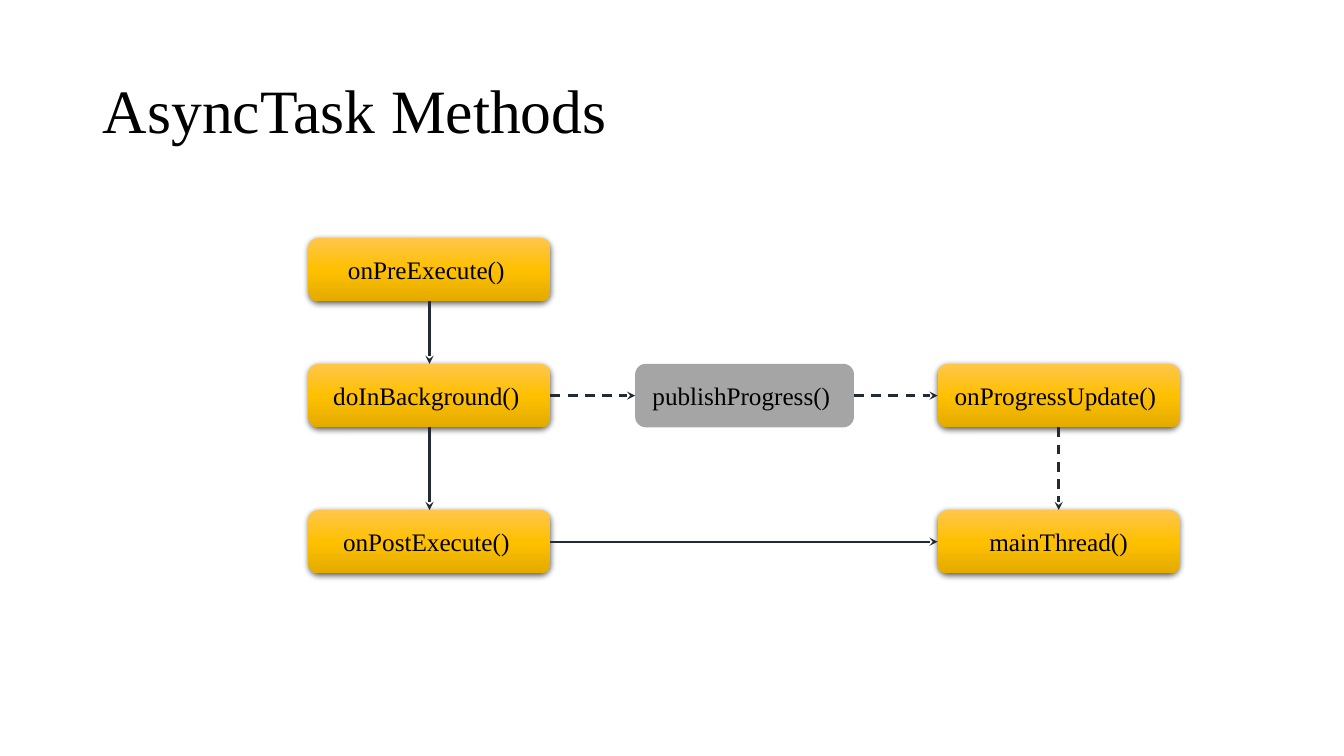
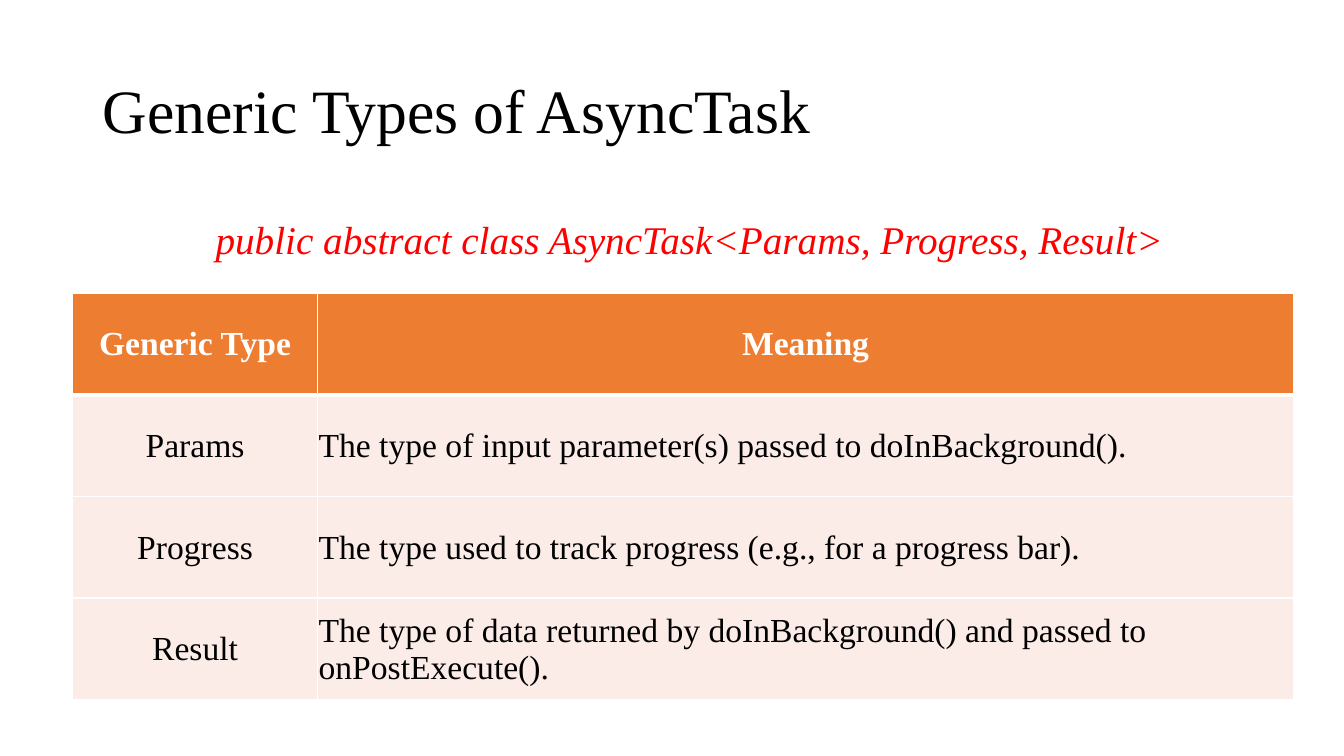
import copy

import pptx
import pptx.dml.color
import pptx.enum.dml
import pptx.enum.shapes
import pptx.enum.text
import pptx.oxml
import pptx.oxml.ns
import pptx.util

Inches = pptx.util.Inches
Pt = pptx.util.Pt
RGBColor = pptx.dml.color.RGBColor
PP_ALIGN = pptx.enum.text.PP_ALIGN
MIDDLE = pptx.enum.text.MSO_ANCHOR.MIDDLE

FONT = "Times New Roman"
BLACK = RGBColor(0x00, 0x00, 0x00)
WHITE = RGBColor(0xFF, 0xFF, 0xFF)
RED = RGBColor(0xFF, 0x00, 0x00)
GRAY = RGBColor(0xA5, 0xA5, 0xA5)
NAVY = RGBColor(0x22, 0x2A, 0x35)
ORANGE = RGBColor(0xED, 0x7D, 0x31)
PINK = RGBColor(0xFC, 0xEC, 0xE8)
GOLD = (
    RGBColor(0xFF, 0xC6, 0x4B),
    RGBColor(0xFF, 0xC0, 0x00),
    RGBColor(0xE3, 0xAB, 0x00),
)

LEFT, MID, RIGHT = 3.06, 6.3, 9.3
TOP, CENTER, LOW = 2.36, 3.61, 5.06
WIDE, SLIM, TALL = 2.4, 2.17, 0.63

# Connection sites of a rounded rectangle
NORTH, WEST, SOUTH, EAST = range(4)

BOXES = {
    "pre": ("onPreExecute() ", LEFT, TOP),
    "work": ("doInBackground() ", LEFT, CENTER),
    "post": ("onPostExecute() ", LEFT, LOW),
    "update": ("onProgressUpdate() ", RIGHT, CENTER),
    "main": ("mainThread()", RIGHT, LOW),
}

# Start box, its site, end box, its site, dashed
ARROWS = [
    ("pre", SOUTH, "work", NORTH, False),
    ("work", SOUTH, "post", NORTH, False),
    ("work", EAST, "publish", WEST, True),
    ("publish", EAST, "update", WEST, True),
    ("update", SOUTH, "main", NORTH, True),
    ("post", EAST, "main", WEST, False),
]

ROWS = [
    ("Generic Type", "Meaning"),
    ("Params", "The type of input parameter(s) passed to doInBackground()."),
    ("Progress", "The type used to track progress (e.g., for a progress bar)."),
    ("Result", "The type of data returned by doInBackground() and passed to "
               "onPostExecute()."),
]


def make_xml(tag, body="", attrs=""):
    space = pptx.oxml.ns.nsdecls("a")
    return pptx.oxml.parse_xml(f"<a:{tag} {space} {attrs}>{body}</a:{tag}>")


def set_text(frame, text, size, color, align=PP_ALIGN.LEFT, bold=False,
             italic=False):
    frame.text = text
    para = frame.paragraphs[0]
    para.alignment = align
    font = para.runs[0].font
    font.name, font.size, font.color.rgb = FONT, Pt(size), color
    font.bold, font.italic = bold, italic


def add_slide(deck, title):
    """Add a title-only slide with the shared title style."""
    slide = deck.slides.add_slide(deck.slide_layouts[5])
    head = slide.shapes.title
    head.left, head.top = Inches(0.92), Inches(0.4)
    head.width, head.height = Inches(11.5), Inches(1.45)
    frame = head.text_frame
    set_text(frame, title, 44, BLACK)
    frame.auto_size = pptx.enum.text.MSO_AUTO_SIZE.NONE
    frame.vertical_anchor = MIDDLE
    frame.paragraphs[0].line_spacing = 0.9
    return slide


def add_box(slide, text, left, top, width=WIDE):
    box = slide.shapes.add_shape(
        pptx.enum.shapes.MSO_SHAPE.ROUNDED_RECTANGLE,
        Inches(left), Inches(top), Inches(width), Inches(TALL))
    box.shadow.inherit = False
    box.line.fill.background()
    box.text_frame.vertical_anchor = MIDDLE
    set_text(box.text_frame, text, 18, BLACK, PP_ALIGN.CENTER)
    return box


def fill_gold(box):
    """Give the box a three-stop gold gradient and a soft shadow."""
    fill = box.fill
    fill.gradient()
    fill.gradient_angle = 270
    props = box.element.spPr
    stops = props.find(".//" + pptx.oxml.ns.qn("a:gsLst"))
    stops.insert(1, copy.deepcopy(stops[0]))
    for stop, place, color in zip(fill.gradient_stops, (0, 0.5, 1), GOLD):
        stop.position = place
        stop.color.rgb = color
    shade = make_xml(
        "outerShdw",
        f'<a:srgbClr val="{BLACK}"><a:alpha val="63000"/></a:srgbClr>',
        f'blurRad="{Pt(4.5)}" dist="{Pt(1.5)}" dir="5400000" '
        'algn="ctr" rotWithShape="0"')
    props.find(pptx.oxml.ns.qn("a:effectLst")).append(shade)


def add_arrow(slide, start, exit_site, end, entry, dashed):
    link = slide.shapes.add_connector(
        pptx.enum.shapes.MSO_CONNECTOR.STRAIGHT, 0, 0, 0, 0)
    link.begin_connect(start, exit_site)
    link.end_connect(end, entry)
    line = link.line
    line.color.rgb, line.width = NAVY, Pt(1.75)
    if dashed:
        line.dash_style = pptx.enum.dml.MSO_LINE.DASH
    props = link.element.spPr
    props.find(pptx.oxml.ns.qn("a:ln")).append(
        make_xml("tailEnd", attrs='type="stealth"'))
    props.append(make_xml("effectLst"))


def style_cell(cell, row):
    """Set margins, white borders and fill; the header rule is thicker."""
    cell.vertical_anchor = MIDDLE
    cell.margin_left = cell.margin_right = cell.margin_top = Inches(0.01)
    cell.margin_bottom = 0
    widths = {"L": 1, "R": 1, "T": 3 if row == 1 else 1,
              "B": 3 if row == 0 else 1}
    props = cell._tc.get_or_add_tcPr()
    for side, width in widths.items():
        props.append(make_xml(
            "ln" + side,
            f'<a:solidFill><a:srgbClr val="{WHITE}"/></a:solidFill>',
            f'w="{Pt(width)}"'))
    cell.fill.solid()
    cell.fill.fore_color.rgb = PINK if row else ORANGE


def add_grid(slide):
    table = slide.shapes.add_table(
        len(ROWS), 2, Inches(0.72), Inches(2.91),
        Inches(12.11), Inches(4.03)).table
    for column, width in zip(table.columns, (2.43, 9.68)):
        column.width = Inches(width)
    for row, texts in enumerate(ROWS):
        for col, text in enumerate(texts):
            cell = table.cell(row, col)
            style_cell(cell, row)
            head = row == 0
            align = PP_ALIGN.CENTER if head or col == 0 else PP_ALIGN.LEFT
            set_text(cell.text_frame, text, 24, WHITE if head else BLACK,
                     align, bold=head)


def add_code(slide, text):
    box = slide.shapes.add_textbox(
        Inches(2.04), Inches(2.09), Inches(10.23), Inches(0.57))
    box.text_frame.word_wrap = True
    set_text(box.text_frame, text, 28, RED, italic=True)


def build_flow(deck):
    slide = add_slide(deck, "AsyncTask Methods")
    boxes = {}
    for key, place in BOXES.items():
        boxes[key] = add_box(slide, *place)
        fill_gold(boxes[key])
    gray = add_box(slide, "publishProgress() ", MID, CENTER, SLIM)
    gray.fill.solid()
    gray.fill.fore_color.rgb = GRAY
    boxes["publish"] = gray
    for start, exit_site, end, entry, dashed in ARROWS:
        add_arrow(slide, boxes[start], exit_site, boxes[end], entry, dashed)


def build_types(deck):
    slide = add_slide(deck, "Generic Types of AsyncTask")
    add_grid(slide)
    add_code(slide, "public abstract class AsyncTask<Params, Progress, Result>")


def main():
    deck = pptx.Presentation()
    deck.slide_width, deck.slide_height = Inches(13.33), Inches(7.5)
    build_flow(deck)
    build_types(deck)
    deck.save("out.pptx")


if __name__ == "__main__":
    main()
